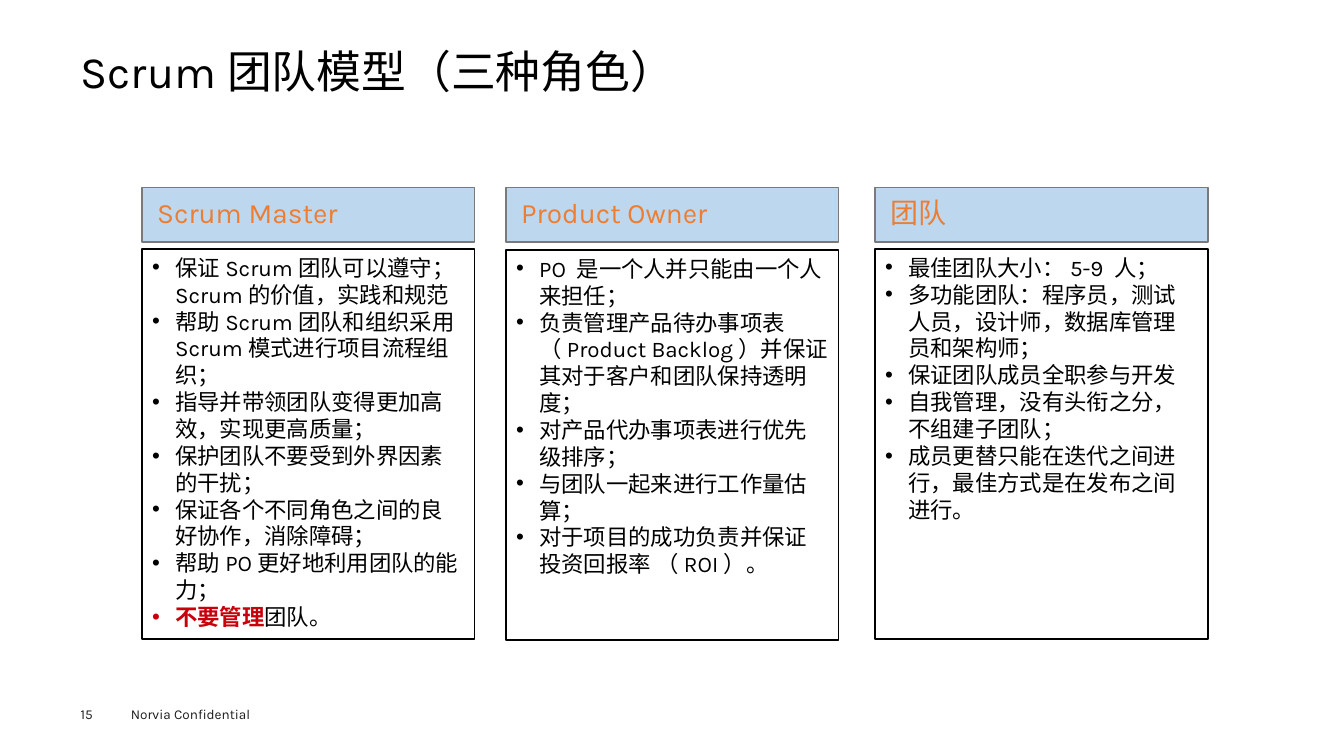
from lxml.etree import SubElement
from pptx import Presentation
from pptx.dml.color import RGBColor
from pptx.enum.lang import MSO_LANGUAGE_ID as LANG
from pptx.enum.shapes import MSO_SHAPE as SHAPE
from pptx.enum.text import MSO_ANCHOR as ANCHOR, MSO_AUTO_SIZE as FIT, PP_ALIGN as ALIGN
from pptx.oxml.ns import qn
from pptx.util import Inches, Pt

BLACK, RED, GREY = "000000", "C7000B", "1D1D1B"
ROLES = [
    (1.41, 2.47, "Scrum Master", [
        "保证Scrum团队可以遵守；Scrum的价值，实践和规范",
        "帮助Scrum团队和组织采用Scrum模式进行项目流程组织；",
        "指导并带领团队变得更加高效，实现更高质量；",
        "保护团队不要受到外界因素的干扰；",
        "保证各个不同角色之间的良好协作，消除障碍；",
        "帮助PO更好地利用团队的能力；",
        [("不要管理", RED, True), ("团队。", BLACK, False)],
    ]),
    (5.02, 2.48, "Product Owner", [
        "PO 是一个人并只能由一个人来担任；",
        "负责管理产品待办事项表（Product Backlog）并保证其对于客户和团队保持透明度；",
        "对产品代办事项表进行优先级排序；",
        "与团队一起来进行工作量估算；",
        "对于项目的成功负责并保证投资回报率 （ROI）。",
    ]),
    (8.68, 2.47, "团队", [
        "最佳团队大小：5-9 人；",
        "多功能团队：程序员，测试人员，设计师，数据库管理员和架构师；",
        "保证团队成员全职参与开发",
        "自我管理，没有头衔之分，不组建子团队；",
        "成员更替只能在迭代之间进行，最佳方式是在发布之间进行。",
    ]),
]


def rgb(value):
    return RGBColor.from_string(value)


def add_bullet(p, indent):
    pPr = p._p.get_or_add_pPr()
    pPr.set("marL", str(Inches(indent)))
    pPr.set("indent", str(-Inches(indent)))
    SubElement(pPr, qn("a:buFont")).set("typeface", "Arial")
    SubElement(pPr, qn("a:buChar")).set("char", "•")


def write(tf, paragraphs, size, color=BLACK, font="Karla", spacing=None,
          bullet=False, anchor=ANCHOR.TOP, insets=(0.1, 0.05)):
    tf.word_wrap = True
    tf.auto_size = FIT.NONE
    tf.vertical_anchor = anchor
    tf.margin_left = tf.margin_right = Inches(insets[0])
    tf.margin_top = tf.margin_bottom = Inches(insets[1])
    for i, runs in enumerate(paragraphs):
        p = tf.add_paragraph() if i else tf.paragraphs[0]
        p.alignment = ALIGN.LEFT
        if spacing:
            p.line_spacing = spacing
        if bullet:
            add_bullet(p, 0.23)
        if isinstance(runs, str):
            runs = [(runs, color, False)]
        for text, run_color, bold in runs:
            r = p.add_run()
            r.text = text
            r.font.size = Pt(size)
            r.font.name = font
            r.font.bold = bold
            r.font.color.rgb = rgb(run_color)
            r.font.language_id = LANG.SIMPLIFIED_CHINESE
            SubElement(r._r.get_or_add_rPr(), qn("a:ea")).set("typeface", font)


class Deck:
    """Builds slides in one style on a widescreen presentation."""

    def __init__(self):
        self.prs = Presentation()
        self.prs.slide_width, self.prs.slide_height = Inches(13.33), Inches(7.5)
        self.slide = self.prs.slides.add_slide(self.prs.slide_layouts[5])

    def title(self, text, x, y, w, h):
        sp = self.slide.shapes.title
        sp.left, sp.top, sp.width, sp.height = map(Inches, (x, y, w, h))
        write(sp.text_frame, [text], 32, spacing=0.9, insets=(0, 0))

    def label(self, text, x, y, w, h, **fmt):
        sp = self.slide.shapes.add_textbox(*map(Inches, (x, y, w, h)))
        write(sp.text_frame, [text], 9.7, GREY, **fmt)

    def box(self, paragraphs, x, y, w, h, fill, line, size, **fmt):
        sp = self.slide.shapes.add_shape(SHAPE.RECTANGLE, *map(Inches, (x, y, w, h)))
        sp.shadow.inherit = False
        sp.fill.solid()
        sp.fill.fore_color.rgb = rgb(fill)
        sp.line.color.rgb = rgb(line)
        sp.line.width = Pt(1)
        write(sp.text_frame, paragraphs, size, **fmt)


def main():
    deck = Deck()
    deck.label("Norvia Confidential", 1.2, 6.95, 1.6, 0.27)
    deck.label("15", 0.8, 7, 0.55, 0.16, insets=(0, 0))
    deck.title("Scrum团队模型（三种角色）", 0.8, 0.49, 11.73, 0.54)
    for x, top, role, duties in ROLES:
        deck.box([role], x, 1.86, 3.3, 0.54, "BDD7EE", "7A7A7A", 20, color="ED7D31",
                 spacing=0.9, anchor=ANCHOR.MIDDLE, insets=(0.15, 0.12))
        deck.box(duties, x, top, 3.3, 3.87, "FFFFFF", BLACK, 16, bullet=True)
    deck.prs.save("out.pptx")


if __name__ == "__main__":
    main()
